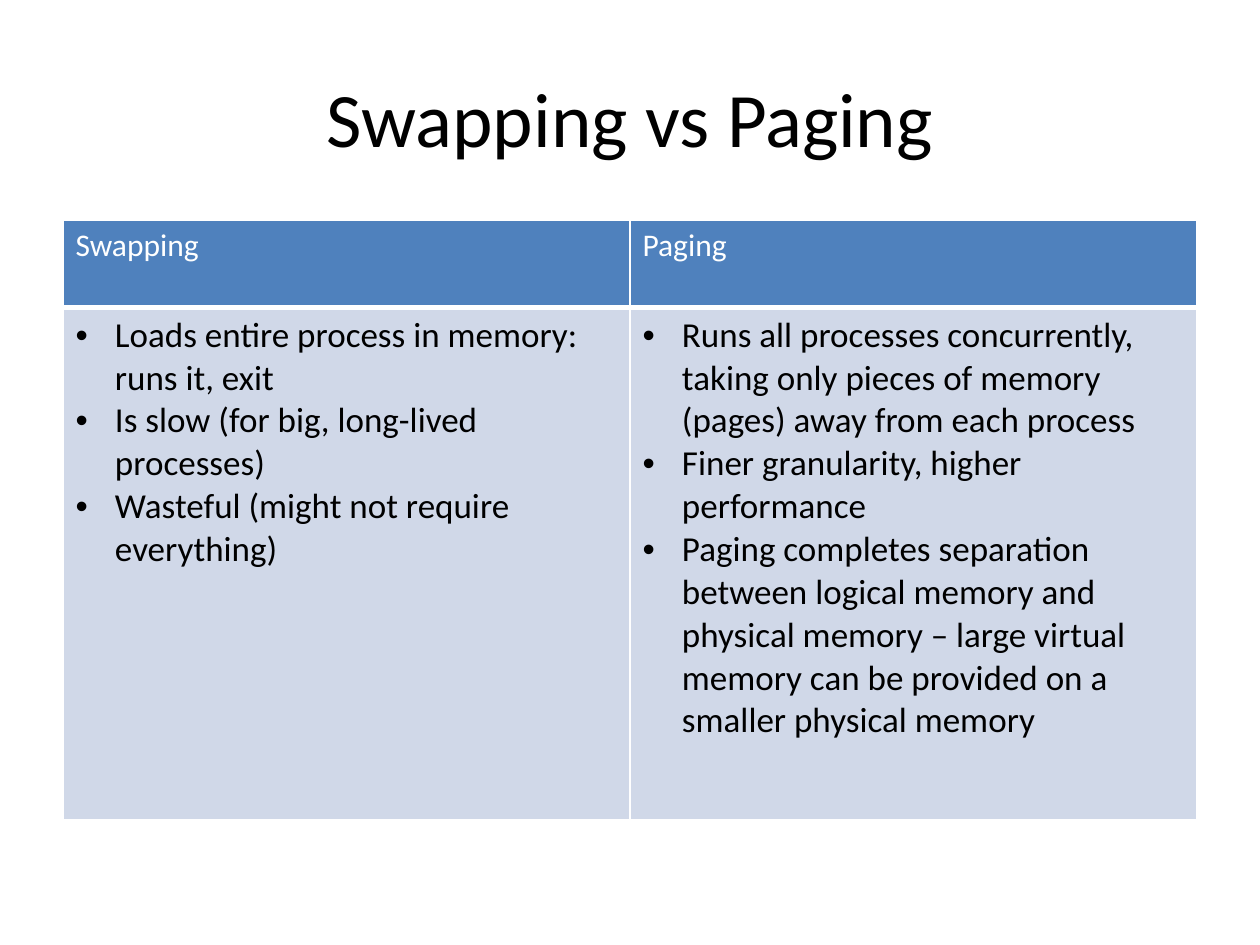
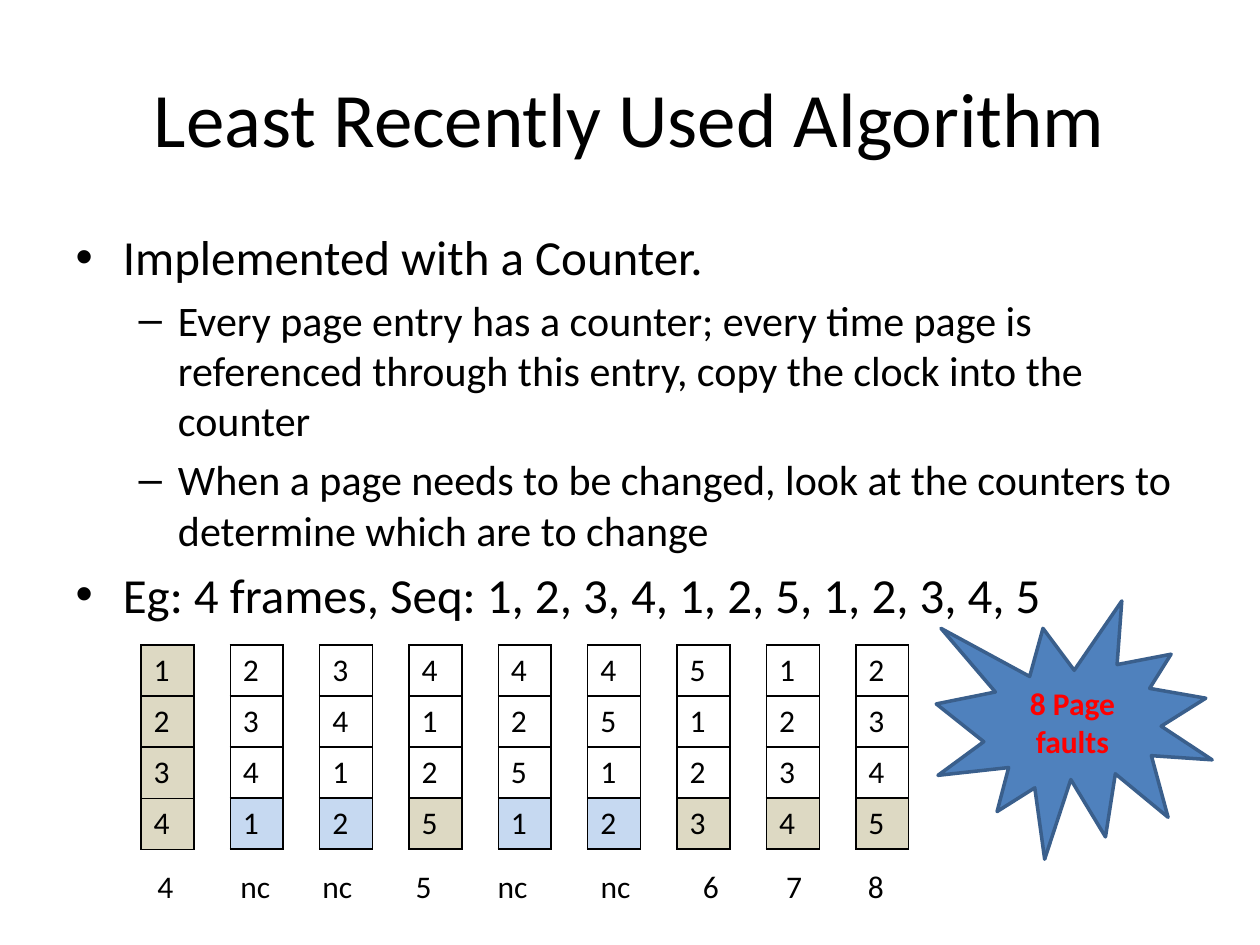
"""Build two slides that compare swapping with paging and trace the LRU algorithm."""
from dataclasses import dataclass

from lxml.etree import SubElement
from pptx import Presentation
from pptx.dml.color import RGBColor
from pptx.enum.shapes import MSO_SHAPE
from pptx.enum.text import MSO_ANCHOR, MSO_AUTO_SIZE, PP_ALIGN
from pptx.oxml.ns import qn
from pptx.util import Pt

FONT = "Calibri"
BLACK = RGBColor(0x00, 0x00, 0x00)
WHITE = RGBColor(0xFF, 0xFF, 0xFF)
RED = RGBColor(0xFF, 0x00, 0x00)
BLUE = RGBColor(0x4F, 0x81, 0xBD)
DARK_BLUE = RGBColor(0x3A, 0x5F, 0x8C)
PALE_BLUE = RGBColor(0xD0, 0xD8, 0xE8)
HIT = RGBColor(0xC6, 0xD9, 0xF1)
FAULT = RGBColor(0xDD, 0xD9, 0xC3)

MARGIN, CONTENT_W, CONTENT_TOP = 36, 648, 126
FRAME_LEFT, FRAME_TOP, FRAME_STEP, FRAME_W = 80.6, 368.6, 51.05, 30.2
LABEL_TOP, LABEL_H = 491.8, 28.8


@dataclass
class Column:
    heading: str
    points: list[str]


@dataclass
class FrameState:
    pages: str
    label: str
    label_left: float
    label_w: float = 28.1


COLUMNS = [
    Column("Swapping", [
        "Loads entire process in memory: runs it, exit",
        "Is slow (for big, long-lived processes)",
        "Wasteful (might not require everything)",
    ]),
    Column("Paging", [
        "Runs all processes concurrently, taking only pieces of memory (pages) "
        "away from each process",
        "Finer granularity, higher performance",
        "Paging completes separation between logical memory and physical memory – "
        "large virtual memory can be provided on a smaller physical memory",
    ]),
]

OUTLINE = [
    ("Implemented with a Counter.", 0),
    ("Every page entry has a counter; every time page is referenced through this entry, "
     "copy the clock into the counter", 1),
    ("When a page needs to be changed, look at the counters to determine which are to change", 1),
    ("Eg: 4 frames, Seq: 1, 2, 3, 4, 1, 2, 5, 1, 2, 3, 4, 5", 0),
]

STATES = [
    FrameState("1234", "4", 82.8),
    FrameState("2341", "nc", 130.3, 37.4),
    FrameState("3412", "nc", 177.1, 33.8),
    FrameState("4125", "5", 230.4),
    FrameState("4251", "nc", 277.2, 39.6),
    FrameState("4512", "nc", 336.2, 39.6),
    FrameState("5123", "6", 394.6),
    FrameState("1234", "7", 442.1),
    FrameState("2345", "8", 488.9),
]


def write(tf, lines, size=18, color=BLACK, bold=False, align=None, bullet=False):
    """Fill a text frame with one formatted paragraph per line."""
    for i, line in enumerate(lines):
        p = tf.paragraphs[0] if i == 0 else tf.add_paragraph()
        if align is not None:
            p.alignment = align
        if bullet:
            pPr = p._p.get_or_add_pPr()
            pPr.set("marL", str(Pt(22.5)))
            pPr.set("indent", str(-Pt(22.5)))
            SubElement(pPr, qn("a:buFont"), typeface="Arial")
            SubElement(pPr, qn("a:buChar"), char="•")
        r = p.add_run()
        r.text = line
        r.font.name, r.font.size, r.font.bold = FONT, Pt(size), bold
        r.font.color.rgb = color


def add_slide(prs, layout: int, title: str):
    """Add a slide with a placed and formatted title."""
    s = prs.slides.add_slide(prs.slide_layouts[layout])
    sp = s.shapes.title
    sp.left, sp.top, sp.width, sp.height = Pt(MARGIN), Pt(21.6), Pt(CONTENT_W), Pt(90)
    sp.text_frame.vertical_anchor = MSO_ANCHOR.MIDDLE
    write(sp.text_frame, [title], size=44, align=PP_ALIGN.CENTER)
    return s


def add_grid(s, left: float, top: float, col_widths: list[float], row_heights: list[float]):
    """Add a table without the default banding."""
    table = s.shapes.add_table(len(row_heights), len(col_widths), Pt(left), Pt(top),
                               Pt(sum(col_widths)), Pt(sum(row_heights))).table
    table.first_row = table.horz_banding = False
    for col, width in zip(table.columns, col_widths):
        col.width = Pt(width)
    for row, height in zip(table.rows, row_heights):
        row.height = Pt(height)
    return table


def paint(cell, fill: RGBColor, border: RGBColor, top: float = 1, bottom: float = 1) -> None:
    """Fill a cell and draw its four borders."""
    cell.fill.solid()
    cell.fill.fore_color.rgb = fill
    tcPr = cell._tc.get_or_add_tcPr()
    for i, (side, width) in enumerate((("L", 1), ("R", 1), ("T", top), ("B", bottom))):
        ln = SubElement(tcPr, qn(f"a:ln{side}"), w=str(Pt(width)))
        SubElement(SubElement(ln, qn("a:solidFill")), qn("a:srgbClr"), val=str(border))
        tcPr.insert(i, ln)


def add_comparison(prs) -> None:
    """Build the swapping and paging table slide."""
    s = add_slide(prs, 5, "Swapping vs Paging")
    widths = [CONTENT_W / len(COLUMNS)] * len(COLUMNS)
    table = add_grid(s, MARGIN, CONTENT_TOP, widths, [49.7, 293])
    for i, column in enumerate(COLUMNS):
        head, body = table.cell(0, i), table.cell(1, i)
        write(head.text_frame, [column.heading], color=WHITE)
        paint(head, BLUE, WHITE, bottom=3)
        write(body.text_frame, column.points, size=20, bullet=True)
        paint(body, PALE_BLUE, WHITE, top=3)


def add_state(s, index: int, state: FrameState) -> None:
    """Draw one column of page frames with its fault count."""
    first = index == 0
    table = add_grid(s, FRAME_LEFT + index * FRAME_STEP, FRAME_TOP, [FRAME_W],
                     [28.8 if first else 29.16] * len(state.pages))
    newest = HIT if state.label == "nc" else FAULT
    for row, page in enumerate(state.pages):
        cell = table.cell(row, 0)
        write(cell.text_frame, [page])
        paint(cell, newest if first or row == len(state.pages) - 1 else WHITE, BLACK)
    sp = s.shapes.add_textbox(Pt(state.label_left), Pt(LABEL_TOP), Pt(state.label_w), Pt(LABEL_H))
    sp.text_frame.word_wrap = True
    write(sp.text_frame, [state.label])


def add_burst(s) -> None:
    """Draw the star that gives the number of page faults."""
    sp = s.shapes.add_shape(MSO_SHAPE.EXPLOSION1, Pt(535), Pt(343.4), Pt(157.7), Pt(147.6))
    sp.shadow.inherit = False
    sp.fill.solid()
    sp.fill.fore_color.rgb = BLUE
    sp.line.color.rgb = DARK_BLUE
    sp.line.width = Pt(2)
    sp.text_frame.vertical_anchor = MSO_ANCHOR.MIDDLE
    write(sp.text_frame, ["8 Page", "faults"], color=RED, bold=True, align=PP_ALIGN.CENTER)


def add_lru(prs) -> None:
    """Build the least recently used slide."""
    s = add_slide(prs, 1, "Least Recently Used Algorithm")
    sp = s.placeholders[1]
    sp.left, sp.top, sp.width, sp.height = Pt(MARGIN), Pt(CONTENT_TOP), Pt(CONTENT_W), Pt(356.4)
    tf = sp.text_frame
    tf.auto_size = MSO_AUTO_SIZE.NONE
    write(tf, [text for text, _ in OUTLINE], size=28)
    for p, (_, level) in zip(tf.paragraphs, OUTLINE):
        p.level = level
        p.runs[0].font.size = Pt(24 if level else 28)
    add_burst(s)
    for i, state in enumerate(STATES):
        add_state(s, i, state)


def main() -> None:
    """Build and save the presentation."""
    prs = Presentation()
    prs.slide_width, prs.slide_height = Pt(720), Pt(540)
    add_comparison(prs)
    add_lru(prs)
    prs.save("out.pptx")


if __name__ == "__main__":
    main()
